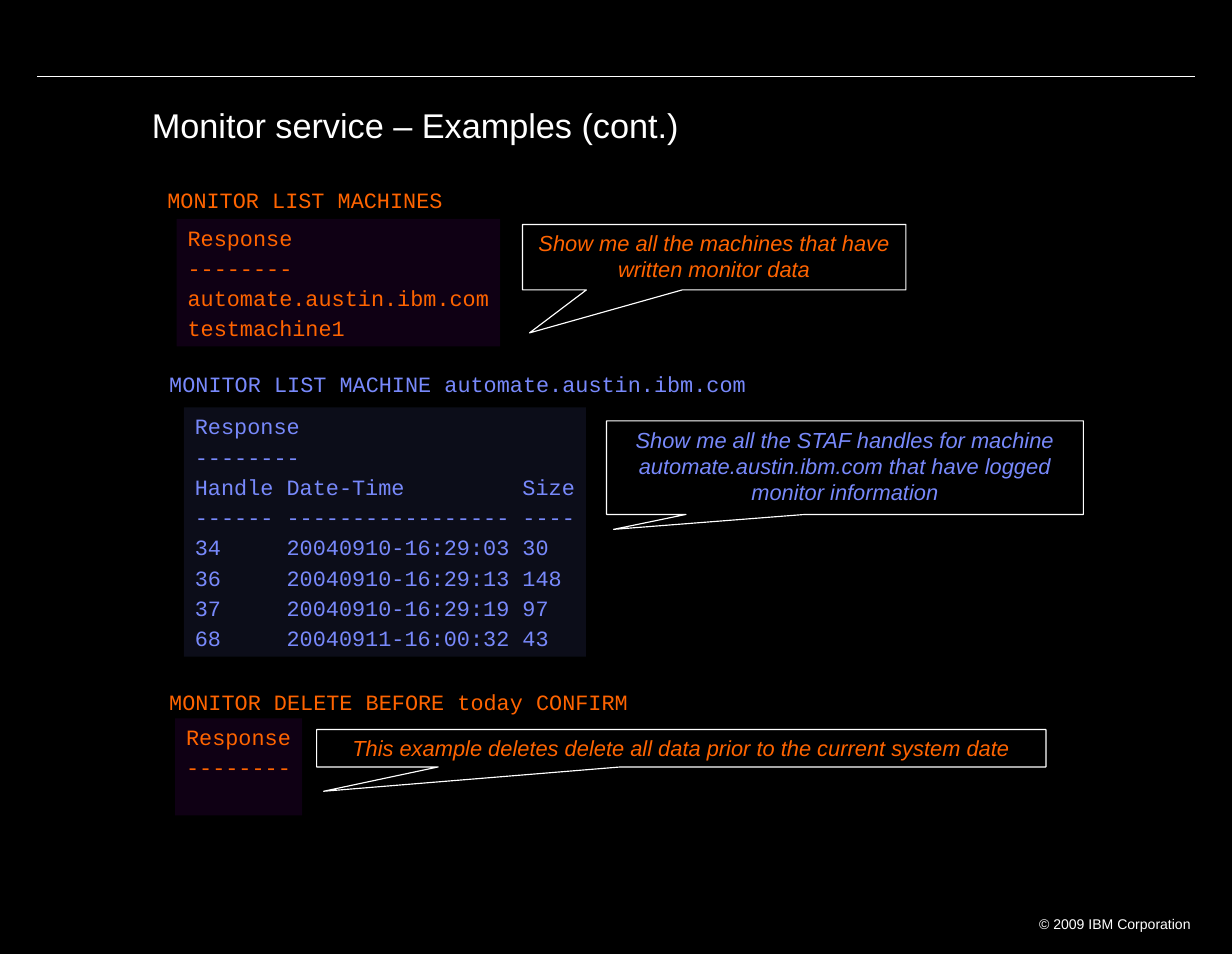
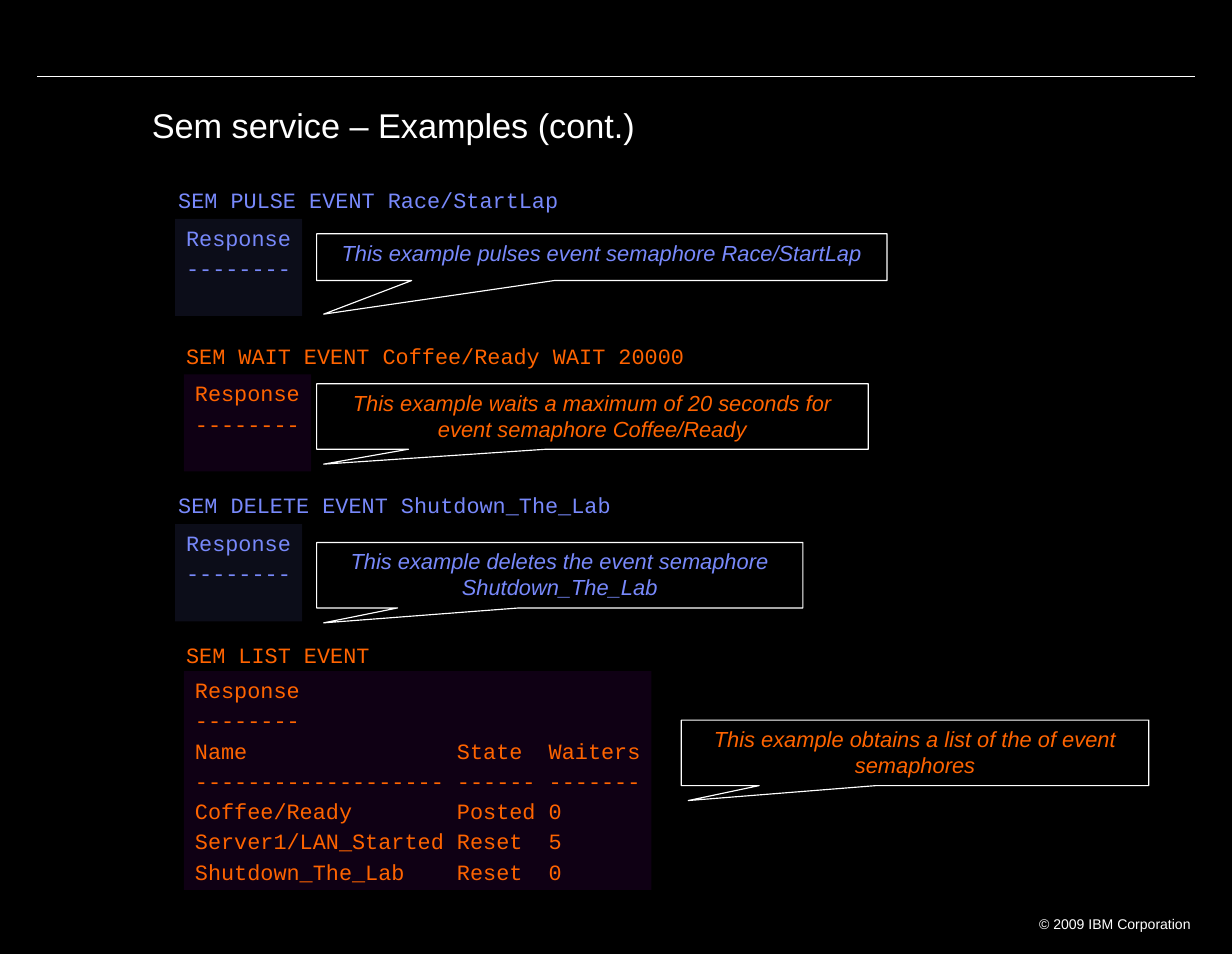
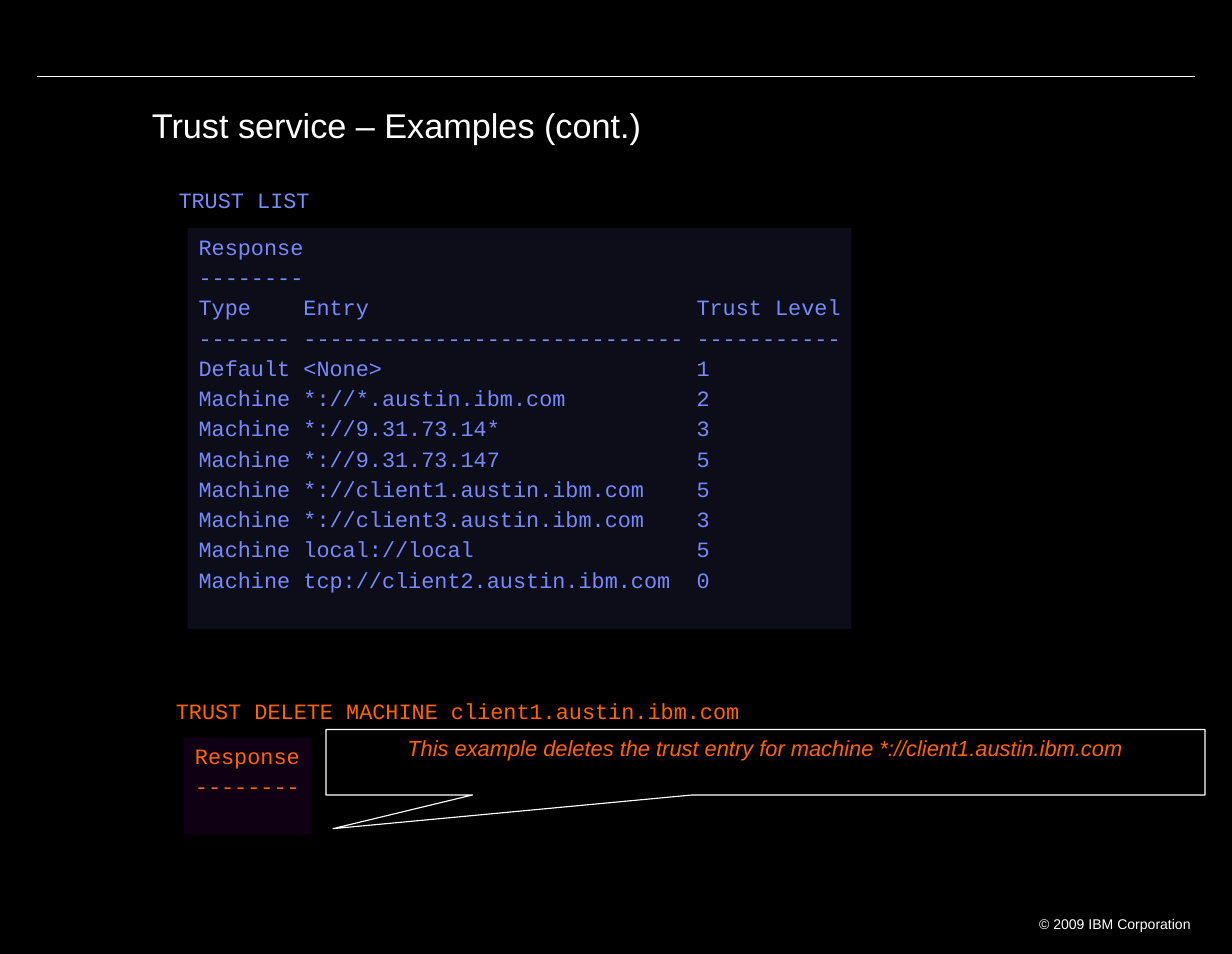
from dataclasses import dataclass

from lxml import etree
from pptx import Presentation
from pptx.dml.color import RGBColor
from pptx.enum import shapes, text
from pptx.oxml.ns import qn
from pptx.util import Pt


@dataclass(frozen=True)
class Theme:
    back: str = "000000"
    ink: str = "FFFFFF"
    orange: str = "FF6400"
    blue: str = "7889FB"
    purple: str = "9900CC"
    panel_alpha: int = 10000
    sans: str = "Arial"
    mono: str = "Courier New"
    title: int = 22
    body: int = 14
    small: int = 9
    rule: float = 0.75
    char: float = 8.4        # width of one mono character
    row: float = 19.5        # line pitch inside a panel
    row_gap: float = 2.6     # space after each line
    panel_pad: float = 3.8   # panel height beyond its rows
    inset: tuple = (7.2, 3.6)
    wide_inset: tuple = (8, 4.3)


T = Theme()
SCHEMES = {"orange": (T.orange, T.purple), "blue": (T.blue, T.blue)}


@dataclass(frozen=True)
class Example:
    scheme: str
    box: tuple               # left, top of the response panel
    command: str
    command_at: tuple        # offset from the panel
    response: str = "Response\n--------"
    rows: int = 3
    note: str = ""
    note_box: tuple = ()     # offset from the panel, width, height
    drop: float = 9.6        # how far the pointer falls below the note


def rgb(value):
    return RGBColor.from_string(value)


def write(sp, content, color=T.ink, size=T.body, font=T.sans, italic=False,
          align=text.PP_ALIGN.LEFT, wrap=True, inset=T.inset, after=0, spacing=1.0):
    """Fill a shape with text, one paragraph per line."""
    tf = sp.text_frame
    tf.word_wrap = wrap
    tf.auto_size = text.MSO_AUTO_SIZE.NONE
    tf.vertical_anchor = text.MSO_ANCHOR.TOP
    tf.margin_left = tf.margin_right = Pt(inset[0])
    tf.margin_top = tf.margin_bottom = Pt(inset[1])
    for i, line in enumerate(content.split("\n")):
        p = tf.add_paragraph() if i else tf.paragraphs[0]
        p.alignment, p.line_spacing = align, spacing
        p.space_before, p.space_after = Pt(0), Pt(after)
        r = p.add_run()
        r.text = line
        r.font.name, r.font.size, r.font.italic = font, Pt(size), italic
        r.font.bold = False
        r.font.color.rgb = rgb(color)


def mono_width(content):
    return max(map(len, content.split("\n"))) * T.char + 2 * T.inset[0]


def add_filled(s, kind, box, fill):
    sp = s.shapes.add_shape(kind, *map(Pt, box))
    sp.shadow.inherit = False
    sp.fill.solid()
    sp.fill.fore_color.rgb = rgb(fill)
    sp.line.fill.background()
    return sp


def add_frame(s, layout):
    """Draw the top rule and copyright line, then hand them to the layout."""
    rule = s.shapes.add_connector(shapes.MSO_CONNECTOR.STRAIGHT,
                                  Pt(24), Pt(49), Pt(767), Pt(49))
    rule.line.color.rgb = rgb(T.ink)
    rule.line.width = Pt(T.rule)
    etree.SubElement(rule.element.spPr, qn("a:effectLst"))
    footer = s.shapes.add_textbox(Pt(653), Pt(582.7), Pt(119), Pt(16.5))
    write(footer, "© 2009 IBM Corporation", size=T.small,
          align=text.PP_ALIGN.RIGHT, inset=T.wide_inset)
    for sp in (rule, footer):
        layout.shapes.element.append(sp.element)


def add_title(s, content):
    sp = s.shapes.title
    sp.left, sp.top, sp.width, sp.height = map(Pt, (89.5, 65.5, 700, 45))
    write(sp, content, size=T.title, inset=T.wide_inset, spacing=0.9)


def add_panel(s, left, top, ex):
    color, fill = SCHEMES[ex.scheme]
    box = (left, top, mono_width(ex.response), ex.rows * T.row + T.panel_pad)
    sp = add_filled(s, shapes.MSO_SHAPE.RECTANGLE, box, fill)
    tint = sp.element.spPr.find(qn("a:solidFill"))[0]
    etree.SubElement(tint, qn("a:alpha"), val=str(T.panel_alpha))
    write(sp, ex.response, color, font=T.mono, wrap=False, after=T.row_gap)


def add_note(s, left, top, ex):
    dx, dy, w, h = ex.note_box
    sp = add_filled(s, shapes.MSO_SHAPE.RECTANGULAR_CALLOUT,
                    (left + dx, top + dy, w, h), T.back)
    sp.line.color.rgb = rgb(T.ink)
    sp.line.width = Pt(T.rule)
    sp.adjustments[0] = 4.5 / w - 0.5
    sp.adjustments[1] = 0.5 + ex.drop / h
    write(sp, ex.note, SCHEMES[ex.scheme][0], italic=True, align=text.PP_ALIGN.CENTER)


def add_example(s, ex):
    """Command line, response panel and optional callout."""
    left, top = ex.box
    dx, dy = ex.command_at
    add_panel(s, left, top, ex)
    sp = s.shapes.add_textbox(Pt(left + dx), Pt(top + dy),
                              Pt(mono_width(ex.command)), Pt(24.5))
    write(sp, ex.command, SCHEMES[ex.scheme][0], font=T.mono, wrap=False)
    if ex.note:
        add_note(s, left, top, ex)


# Response listings
MACHINES = """Response
--------
automate.austin.ibm.com
testmachine1"""
HANDLES = """Response
--------
Handle Date-Time         Size
------ ----------------- ----
34     20040910-16:29:03 30
36     20040910-16:29:13 148
37     20040910-16:29:19 97
68     20040911-16:00:32 43"""
EVENTS = """Response
--------
Name                State  Waiters
------------------- ------ -------
Coffee/Ready        Posted 0
Server1/LAN_Started Reset  5
Shutdown_The_Lab    Reset  0"""
TRUST = """Response
--------
Type    Entry                         Trust Level
------- ----------------------------- -----------
Default <None>                        1
Machine *://*.austin.ibm.com          2
Machine *://9.31.73.14*               3
Machine *://9.31.73.147               5
Machine *://client1.austin.ibm.com    5
Machine *://client3.austin.ibm.com    3
Machine local://local                 5
Machine tcp://client2.austin.ibm.com  0"""

DECK = {
    "Monitor": [
        Example("orange", (113.3, 140.4), "MONITOR LIST MACHINES", (-13, -24), MACHINES, 4,
                "Show me all the machines that have written monitor data",
                (222, 3.6, 246, 42), 27.6),
        Example("blue", (118, 261.4), "MONITOR LIST MACHINE automate.austin.ibm.com",
                (-16.5, -27.4), HANDLES, 8,
                "Show me all the STAF handles for machine automate.austin.ibm.com "
                "that have logged monitor information", (271.2, 8.6, 306, 60)),
        Example("orange", (112.3, 460.8), "MONITOR DELETE BEFORE today CONFIRM", (-10.8, -22.3),
                note="This example deletes delete all data prior to the current system date",
                note_box=(90.9, 7.2, 468, 24), drop=15.6),
    ],
    "Sem": [
        Example("blue", (112.3, 140.4), "SEM PULSE EVENT Race/StartLap", (-5, -24),
                note="This example pulses event semaphore Race/StartLap",
                note_box=(90.9, 9.6, 366, 30), drop=21.6),
        Example("orange", (118, 240.2), "SEM WAIT EVENT Coffee/Ready WAIT 20000", (-5.7, -24.2),
                note="This example waits a maximum of 20 seconds for event semaphore Coffee/Ready",
                note_box=(85.2, 6, 354, 42)),
        Example("blue", (112.3, 336.3), "SEM DELETE EVENT Shutdown_The_Lab", (-5, -24.2),
                note="This example deletes the event semaphore Shutdown_The_Lab",
                note_box=(90.9, 11.7, 312, 42)),
        Example("orange", (118, 430.6), "SEM LIST EVENT", (-5.7, -22.4), EVENTS, 7,
                "This example obtains a list of the of event semaphores",
                (319.2, 31.4, 300, 42)),
    ],
    "Trust": [
        Example("blue", (120.4, 146.2), "TRUST LIST", (-12.9, -29.8), TRUST, 13),
        Example("orange", (118, 473), "TRUST DELETE MACHINE client1.austin.ibm.com", (-12.2, -28.8),
                note="This example deletes the trust entry for machine *://client1.austin.ibm.com",
                note_box=(91.2, -5, 564, 42), drop=21.6),
    ],
}


def main():
    prs = Presentation()
    prs.slide_width, prs.slide_height = Pt(790.56), Pt(612)
    fill = prs.slide_master.background.fill
    fill.solid()
    fill.fore_color.rgb = rgb(T.back)
    layout = prs.slide_layouts.get_by_name("Title Only")
    for ph in list(layout.placeholders):
        if ph.placeholder_format.idx:
            layout.shapes.element.remove(ph.element)
    for i, (service, examples) in enumerate(DECK.items()):
        s = prs.slides.add_slide(layout)
        if i == 0:
            add_frame(s, layout)
        add_title(s, f"{service} service – Examples (cont.)")
        for ex in examples:
            add_example(s, ex)
    prs.save("out.pptx")


if __name__ == "__main__":
    main()
